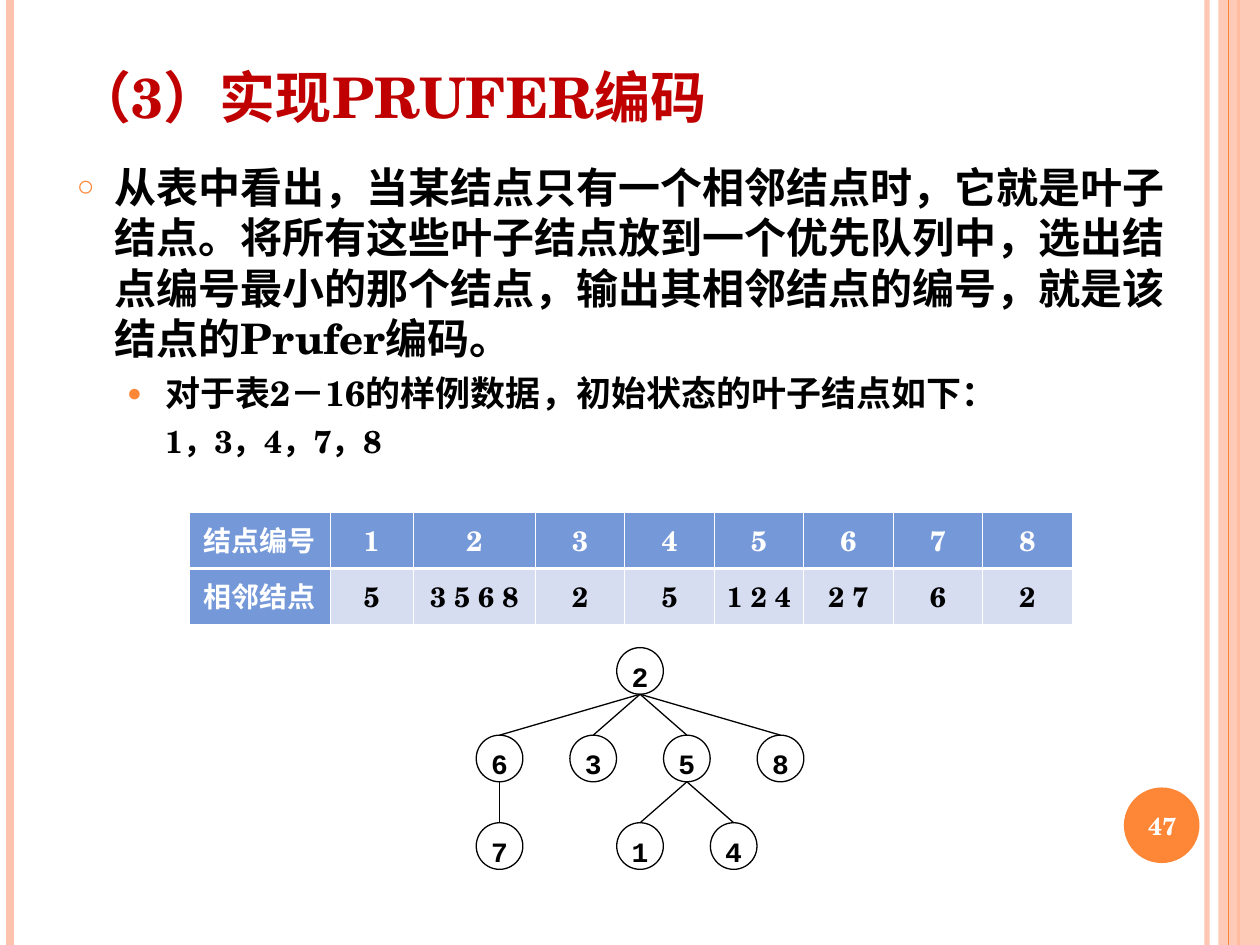
from lxml import etree
from pptx import Presentation
from pptx import util as u
from pptx.dml.color import RGBColor
from pptx.enum import shapes, text
from pptx.oxml.ns import qn

SCALE = 9144  # EMU in one px, 100 px to the inch
SERIF, MONO = "TeX Gyre Schola", "Courier New"
ORANGE, PEACH, BLUE, PALE = "FE8637", "FEC3AE", "7598D9", "D6DDF1"
WHITE, BLACK, RED = "FFFFFF", "000000", "C00000"
CENTER, LEFT = text.PP_ALIGN.CENTER, text.PP_ALIGN.LEFT
MIDDLE = text.MSO_ANCHOR.MIDDLE


def px(*lengths):
    return [u.Emu(round(length * SCALE)) for length in lengths]


def color(value):
    return RGBColor.from_string(value)


def child(parent, tag, **attributes):
    return etree.SubElement(parent, qn(tag), attributes)


def set_alpha(fill_parent, percent):
    clr = next(fill_parent.iter(qn("a:srgbClr")))
    child(clr, "a:alpha", val=str(percent * 1000))


def write(para, words, size=16, font=SERIF, ink=BLACK, align=CENTER, before=0):
    para.alignment = align
    para.space_before = u.Pt(before)
    span = para.add_run()
    span.text = words
    span.font.size = u.Pt(size)
    span.font.bold = True
    span.font.name = font
    span.font.color.rgb = color(ink)
    child(span.font._element, "a:ea", typeface=font)


def set_frame(frame, anchor, insets, wrap=True):
    frame.auto_size = text.MSO_AUTO_SIZE.NONE
    frame.word_wrap = wrap
    frame.vertical_anchor = anchor
    across, down = px(*insets)
    frame.margin_left = frame.margin_right = across
    frame.margin_top = frame.margin_bottom = down


def place(holder, box):
    holder.left, holder.top, holder.width, holder.height = px(*box)


def add_filled(parent, kind, box, fill, outline=None):
    shape = parent.add_shape(kind, *px(*box))
    shape.shadow.inherit = False
    shape.fill.solid()
    shape.fill.fore_color.rgb = color(fill)
    if outline:
        shape.line.color.rgb = color(outline)
        shape.line.width = u.Pt(0.75)
    else:
        shape.line.fill.background()
    return shape


def add_line(parent, start, end, ink, weight=0.75):
    line = parent.add_connector(shapes.MSO_CONNECTOR.STRAIGHT, *px(*start, *end))
    line.line.color.rgb = color(ink)
    line.line.width = u.Pt(weight)
    child(line._element.spPr, "a:effectLst")
    return line


def add_side_stripes(page, box):
    left, top, width, height = box
    right, bottom = left + width, top + height

    def stripe(x, ink, weight):
        return add_line(page.shapes, (x, top), (x, bottom), ink, weight)

    set_alpha(stripe(right - 42, PEACH, 3)._element.spPr, 93)
    stripe(left + 8, PEACH, 4.5)
    stripe(right - 17, ORANGE, 1.5)
    band = add_filled(page.shapes, shapes.MSO_SHAPE.RECTANGLE,
                      (right - 33, top, 33, height), PEACH)
    set_alpha(band._element.spPr, 87)
    stripe(right - 25, ORANGE, 0.75)


def add_page_number(page, box, number):
    left, top, width, height = box
    add_filled(page.shapes, shapes.MSO_SHAPE.OVAL, box, ORANGE)
    label = page.shapes.add_textbox(*px(left - 3, top + 2, width + 7, height - 3))
    set_frame(label.text_frame, MIDDLE, (10, 5))
    write(label.text_frame.paragraphs[0], number, size=14, ink=WHITE)


def add_title(page, box, words):
    title = page.shapes.title
    place(title, box)
    set_frame(title.text_frame, text.MSO_ANCHOR.BOTTOM, (10, 5))
    write(title.text_frame.paragraphs[0], words, size=32, ink=RED, align=LEFT)


def set_bullet(para, level, margin, indent, mark=None, percent=100):
    para.level = level
    props = para._p.get_or_add_pPr()
    for name, length in zip(("marL", "indent"), px(margin, indent)):
        props.set(name, str(length))
    if mark is None:
        child(props, "a:buNone")
        return
    child(child(props, "a:buClr"), "a:srgbClr", val=ORANGE)
    child(props, "a:buSzPct", val=str(percent * 1000))
    child(props, "a:buChar", char=mark)


def add_body(page, box, items):
    body = page.placeholders[1]
    place(body, box)
    frame = body.text_frame
    set_frame(frame, text.MSO_ANCHOR.TOP, (10, 5))
    for level, (words, size, before, bullet) in enumerate(items):
        para = frame.add_paragraph() if level else frame.paragraphs[0]
        set_bullet(para, level, **bullet)
        write(para, words, size=size, align=LEFT, before=before)


def set_borders(cell, **weights):
    """Draw white cell borders, given as L, R, T and B in points."""
    props = cell._tc.get_or_add_tcPr()
    for index, side in enumerate("LRTB"):
        border = etree.Element(qn(f"a:ln{side}"), w=str(u.Pt(weights[side])))
        child(child(border, "a:solidFill"), "a:srgbClr", val=WHITE)
        props.insert(index, border)


def add_node_table(page, box, widths, rows):
    table = page.shapes.add_table(len(rows), len(widths), *px(*box)).table
    for column, width in zip(table.columns, px(*widths)):
        column.width = width
    for r, values in enumerate(rows):
        table.rows[r].height = px(box[3] / len(rows))[0]
        for c, value in enumerate(values):
            cell = table.cell(r, c)
            header = r == 0 or c == 0
            cell.fill.solid()
            cell.fill.fore_color.rgb = color(BLUE if header else PALE)
            cell.vertical_anchor = MIDDLE
            cell.margin_left = cell.margin_right = px(7)[0]
            cell.margin_top = cell.margin_bottom = px(5)[0]
            write(cell.text_frame.paragraphs[0], value, ink=WHITE if header else BLACK)
            set_borders(cell, L=0.45, R=0.45,
                        T=1.47 if r else 0.45, B=0.45 if r else 1.47)


def add_tree(page, box, spots, edges):
    """Draw a tree; spots give each node's column and level."""
    left, top, width, height = box
    size = 37
    column_step = (width - size) / max(column for column, _ in spots.values())
    level_step = (height - size) / max(level for _, level in spots.values())
    group = page.shapes.add_group_shape()
    nodes = {}
    for name, (column, level) in spots.items():
        spot = (left + column * column_step, top + level * level_step, size, size)
        node = add_filled(group.shapes, shapes.MSO_SHAPE.OVAL, spot, WHITE, BLACK)
        set_frame(node.text_frame, text.MSO_ANCHOR.TOP, (8, 4), wrap=False)
        write(node.text_frame.paragraphs[0], name, font=MONO)
        nodes[name] = (node, spot)
    for parent, children in edges.items():
        x, y = nodes[parent][1][:2]
        for name in children:
            node, (child_x, child_y, *_) = nodes[name]
            edge = add_line(group.shapes, (x + size / 2, y + size),
                            (child_x + size / 2, child_y), BLACK)
            edge.end_connect(node, 0)


def main():
    deck = Presentation()
    deck.slide_width, deck.slide_height = px(1000, 750)
    page = deck.slides.add_slide(deck.slide_layouts[1])
    add_side_stripes(page, (0, 0, 1000, 750))
    add_page_number(page, (892, 625, 60, 60), "47")
    add_title(page, (50, 13, 817, 95), "（3）实现PRUFER编码")
    add_body(page, (51, 123, 899, 569), [
        ("从表中看出，当某结点只有一个相邻结点时，它就是叶子结点。"
         "将所有这些叶子结点放到一个优先队列中，选出结点编号最小的那个结点，"
         "输出其相邻结点的编号，就是该结点的Prufer编码。",
         24, 0, dict(margin=30, indent=-30, mark="○", percent=70)),
        ("对于表2－16的样例数据，初始状态的叶子结点如下：",
         20, 5, dict(margin=70, indent=-30, mark="●", percent=70)),
        ("1，3，4，7，8", 18, 4.5, dict(margin=70, indent=0)),
    ])
    add_node_table(page, (150, 407, 703, 88), [112, 66, 97] + [71] * 6 + [72][:0], [
        ["结点编号", "1", "2", "3", "4", "5", "6", "7", "8"],
        ["相邻结点", "5", "3 5 6 8", "2", "5", "1 2 4", "2 7", "6", "2"],
    ])
    add_tree(page, (378, 514, 260, 176),
             {"2": (1.5, 0), "6": (0, 1), "3": (1, 1), "5": (2, 1), "8": (3, 1),
              "7": (0, 2), "1": (1.5, 2), "4": (2.5, 2)},
             {"2": "6358", "6": "7", "5": "14"})
    deck.save("out.pptx")


if __name__ == "__main__":
    main()
